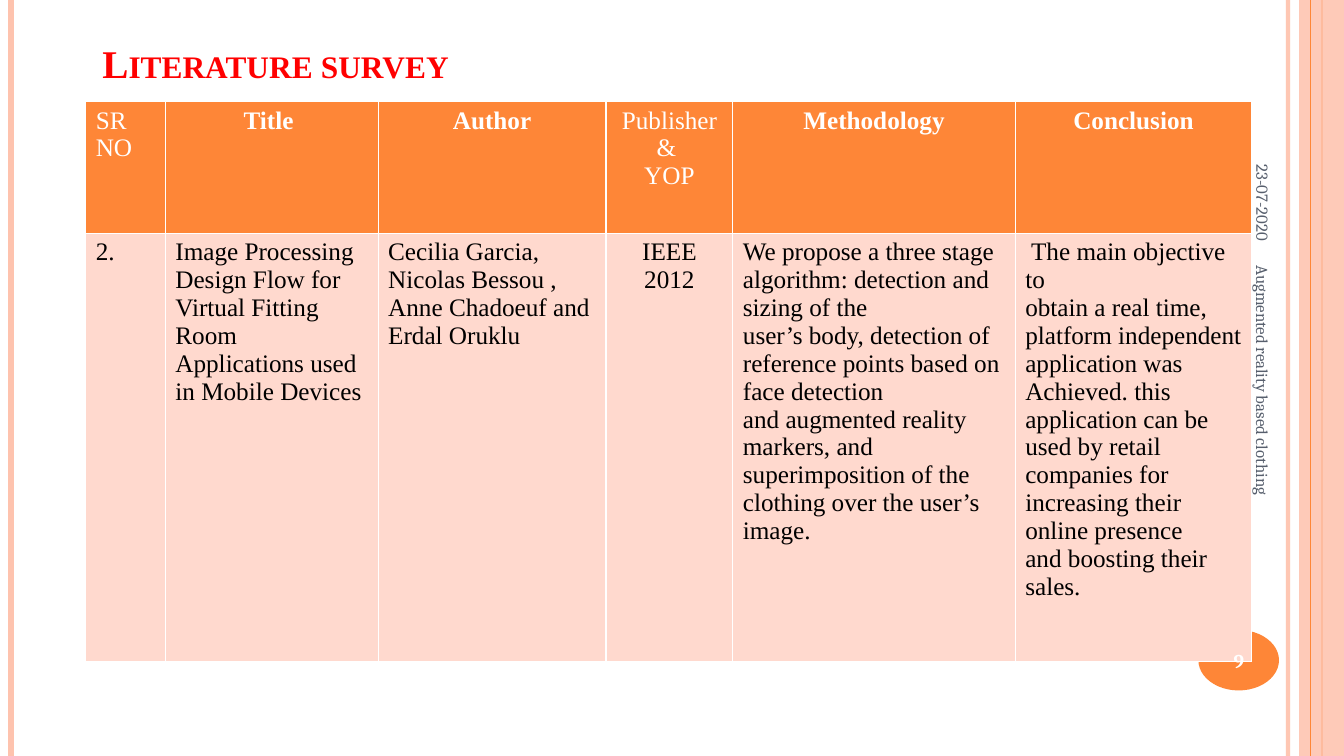
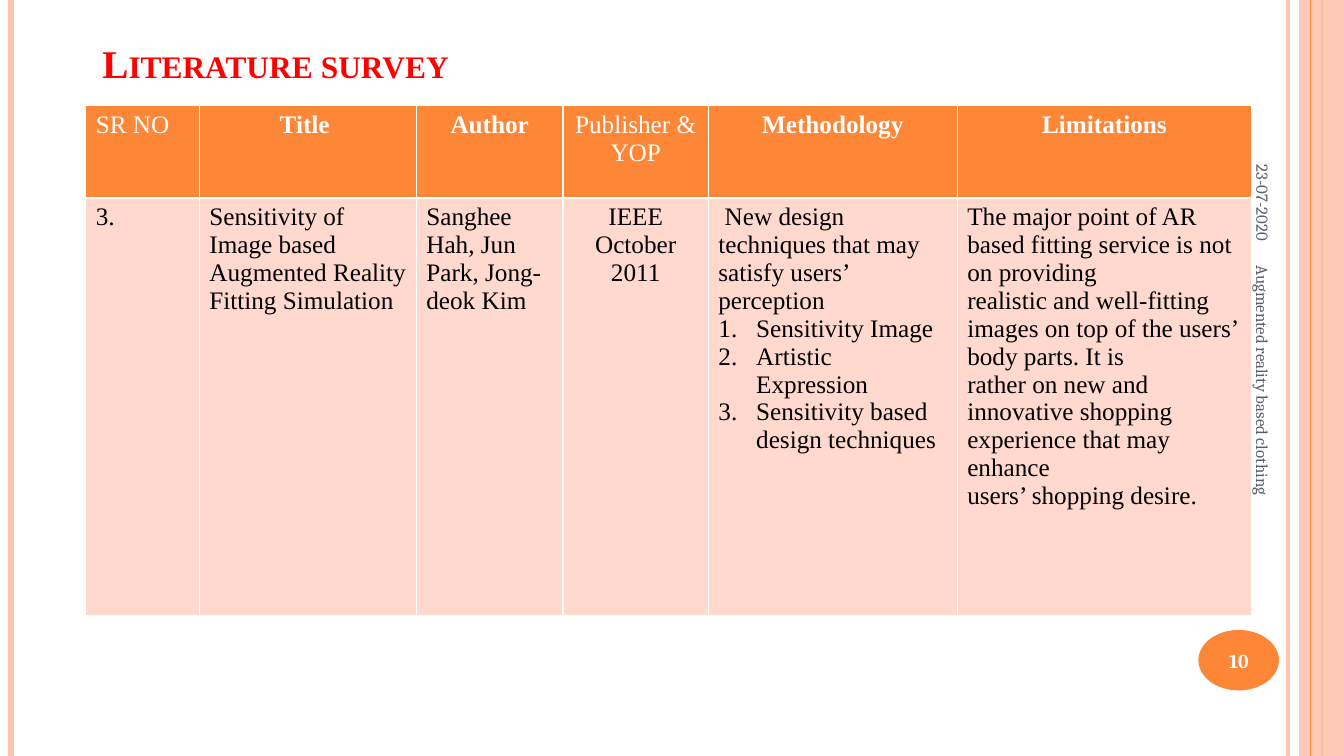
"""Build two literature survey slides with a shared frame, title and table style."""
from lxml.etree import SubElement
from pptx import Presentation
from pptx.dml.color import RGBColor
from pptx.enum.shapes import MSO_CONNECTOR as Connector, MSO_SHAPE as Shape
from pptx.enum.text import MSO_ANCHOR as Anchor, MSO_AUTO_SIZE as AutoSize, PP_ALIGN as Align
from pptx.oxml.ns import qn
from pptx.util import Pt

COLORS = {
    "accent": "FE8637",
    "pale": "FEC3AE",
    "row": "FFD9CE",
    "title": "FF0000",
    "footer": "575F6D",
    "body": "000000",
    "white": "FFFFFF",
}
WIDTH, HEIGHT = 960, 540
SERIF, FOOTER_FONT = "Times New Roman", "Cambria"
TABLE_LEFT = 61.2
SR_NO, PUBLISHER, METHODOLOGY = 0, 3, 4
EDGES = ("a:lnL", "a:lnR", "a:lnT", "a:lnB")


class SurveyDeck:
    """Hold the survey style and the current slide."""

    def __init__(self):
        self.deck = Presentation()
        self.deck.slide_width, self.deck.slide_height = Pt(WIDTH), Pt(HEIGHT)
        self.slide = None

    def color(self, name):
        return RGBColor.from_string(COLORS[name])

    def fade(self, element, percent):
        for tone in element.iter(qn("a:srgbClr")):
            SubElement(tone, qn("a:alpha"), val=str(percent * 1000))

    def add_text(self, paragraph, text, size, color, font=SERIF, bold=False, align=Align.LEFT):
        paragraph.alignment = align
        run = paragraph.add_run()
        run.text = text
        run.font.name, run.font.size, run.font.bold = font, Pt(size), bold
        run.font.color.rgb = self.color(color)
        return run

    def rule(self, x, weight, color, opacity=100):
        rule = self.slide.shapes.add_connector(Connector.STRAIGHT, Pt(x), 0, Pt(x), Pt(HEIGHT))
        rule.line.width = Pt(weight)
        rule.line.color.rgb = self.color(color)
        properties = rule._element.spPr
        SubElement(properties, qn("a:effectLst"))
        if opacity < 100:
            self.fade(properties, opacity)

    def block(self, kind, left, top, width, height, color, opacity=100):
        block = self.slide.shapes.add_shape(kind, Pt(left), Pt(top), Pt(width), Pt(height))
        block.shadow.inherit = False
        block.fill.solid()
        block.fill.fore_color.rgb = self.color(color)
        block.line.fill.background()
        if opacity < 100:
            self.fade(block._element.spPr, opacity)

    def label(self, text, left, top, width, height, size, color, rotation=0, **style):
        label = self.slide.shapes.add_textbox(Pt(left), Pt(top), Pt(width), Pt(height))
        label.rotation = rotation
        frame = label.text_frame
        frame.word_wrap = True
        frame.vertical_anchor = Anchor.MIDDLE
        self.add_text(frame.paragraphs[0], text, size, color, FOOTER_FONT, **style)

    def start_slide(self, title):
        self.slide = self.deck.slides.add_slide(self.deck.slide_layouts[5])
        self.rule(920, 3, "pale", 93)
        self.rule(8, 4.5, "pale")
        self.rule(944, 1.5, "accent")
        self.block(Shape.RECTANGLE, 928, 0, 32, HEIGHT, "pale", 87)
        self.rule(936, 0.75, "accent")
        self.block(Shape.OVAL, 856, 450, 57.6, 43.2, "accent")
        heading = self.slide.shapes.title
        heading.left, heading.top, heading.width, heading.height = Pt(66), Pt(18), Pt(828), Pt(47)
        frame = heading.text_frame
        frame.auto_size = AutoSize.NONE
        frame.word_wrap = True
        frame.vertical_anchor = Anchor.BOTTOM
        run = self.add_text(frame.paragraphs[0], title, 28, "title", bold=True)
        run._r.get_or_add_rPr().set("cap", "small")

    def footers(self, date, project, number):
        self.label(date, 823, 80, 158.4, 40, 12, "footer", 90, align=Align.RIGHT)
        self.label(number, 853, 451.5, 64, 41, 14, "white", bold=True, align=Align.CENTER)
        self.label(project, 776, 289.5, 252, 38, 12, "footer", 90)

    def cell(self, cell, lines, fill, color, bold, align):
        properties = cell._tc.get_or_add_tcPr()
        for edge in EDGES:
            border = SubElement(properties, qn(edge), w=str(Pt(1)))
            paint = SubElement(border, qn("a:solidFill"))
            SubElement(paint, qn("a:srgbClr"), val=COLORS["white"])
        cell.fill.solid()
        cell.fill.fore_color.rgb = self.color(fill)
        frame = cell.text_frame
        for index, line in enumerate(lines):
            paragraph = frame.add_paragraph() if index else frame.paragraphs[0]
            self.add_text(paragraph, line, 18, color, bold=bold, align=align)

    def survey_table(self, top, widths, heights, last_heading, entry):
        headings = [["SR NO"], ["Title "], ["Author"], ["Publisher & ", "YOP"],
                    ["Methodology"], [last_heading]]
        table = self.slide.shapes.add_table(
            2, len(widths), Pt(TABLE_LEFT), Pt(top), Pt(sum(widths)), Pt(sum(heights))).table
        table.horz_banding = False
        for row, height in zip(table.rows, heights):
            row.height = Pt(height)
        for index, width in enumerate(widths):
            table.columns[index].width = Pt(width)
            self.cell(table.cell(0, index), headings[index], "accent", "white",
                      index not in (SR_NO, PUBLISHER),
                      Align.LEFT if index == SR_NO else Align.CENTER)
            self.cell(table.cell(1, index), entry[index], "row", "body", False,
                      Align.CENTER if index == PUBLISHER else Align.LEFT)
        return table

    def number(self, paragraphs):
        for paragraph in paragraphs:
            properties = paragraph._p.get_or_add_pPr()
            properties.set("marL", str(Pt(27)))
            properties.set("indent", str(-Pt(27)))
            SubElement(properties, qn("a:buFont"), typeface="+mj-lt")
            SubElement(properties, qn("a:buAutoNum"), type="arabicPeriod")


FITTING_ROOM = [
    ["2."],
    ["Image Processing Design Flow for Virtual Fitting",
     "Room Applications used in Mobile Devices"],
    ["Cecilia Garcia, Nicolas Bessou , Anne Chadoeuf and Erdal Oruklu"],
    ["IEEE", "2012"],
    ["We propose a three stage algorithm: detection and sizing of the",
     "user’s body, detection of reference points based on face detection",
     "and augmented reality markers, and superimposition of the",
     "clothing over the user’s image."],
    [" The main objective to",
     "obtain a real time, platform independent application was",
     "Achieved. this application can be",
     "used by retail companies for increasing their online presence",
     "and boosting their sales."],
]
SENSITIVITY = [
    ["3."],
    ["Sensitivity of Image based Augmented Reality Fitting Simulation"],
    ["Sanghee Hah, Jun Park, Jong-deok Kim"],
    ["IEEE", "October", "2011"],
    [" New design",
     "techniques that may satisfy users’ perception",
     "Sensitivity Image",
     "Artistic Expression",
     "Sensitivity based design techniques"],
    ["The major point of AR based fitting service is not on providing",
     "realistic and well-fitting images on top of the users’ body parts. It is",
     "rather on new and innovative shopping experience that may enhance",
     "users’ shopping desire."],
]


def main():
    survey = SurveyDeck()
    title, date, project = "Literature survey", "23-07-2020", "Augmented reality based clothing"

    survey.start_slide(title)
    survey.survey_table(72.5, [56.9, 152, 162.8, 90.6, 201.7, 169], [94, 306],
                        "Conclusion", FITTING_ROOM)
    survey.footers(date, project, "9")

    survey.start_slide(title)
    table = survey.survey_table(75.5, [81.2, 155, 104.8, 103.8, 177.8, 210.4], [66, 298],
                                "Limitations", SENSITIVITY)
    survey.number(table.cell(1, METHODOLOGY).text_frame.paragraphs[2:])
    survey.footers(date, project, "10")

    survey.deck.save("out.pptx")


if __name__ == "__main__":
    main()
